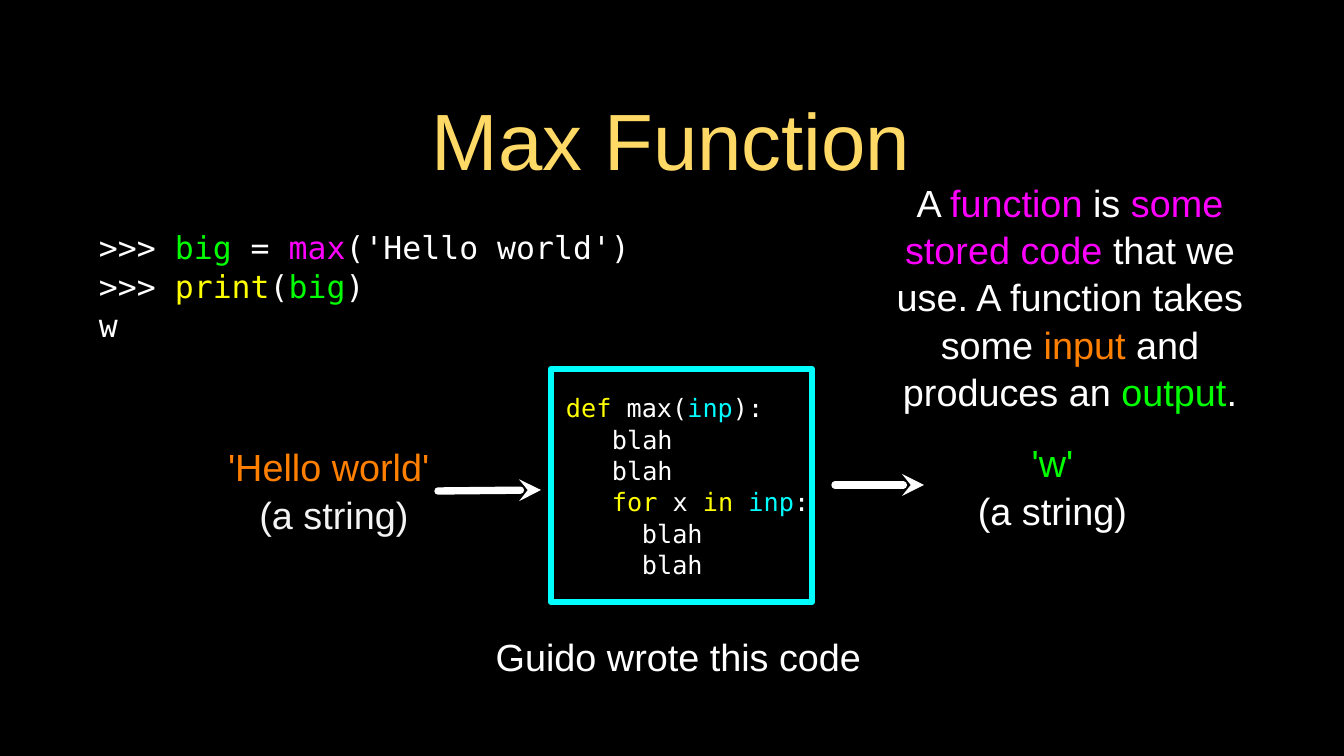
from lxml import etree
from pptx import Presentation
from pptx.dml.color import RGBColor
from pptx.enum.shapes import MSO_CONNECTOR, MSO_SHAPE
from pptx.enum.text import MSO_ANCHOR, PP_ALIGN
from pptx.oxml.ns import qn
from pptx.util import Emu, Pt

EMU_PER_PX = 914400 / 75.6
SANS, MONO = "Arial", "DejaVu Sans Mono"
CODE_SIZE = 24
CODE_CHAR_PX = 15.17
COLORS = {
    "black": "000000", "white": "FFFFFF", "pale": "F3F3F3", "gold": "FFD966",
    "green": "00FF00", "magenta": "FF00FF", "yellow": "FFFF00",
    "orange": "FF7F00", "cyan": "00FFFF", "aqua": "00FDFF",
}


def px(value):
    return Emu(round(value * EMU_PER_PX))


def rgb(name):
    return RGBColor.from_string(COLORS[name])


def write(shape, lines, size, font=SANS, align=PP_ALIGN.CENTER, inset=0, spacing=1.04):
    """Fill a shape; each line is (indent in characters, [(text, colour), ...])."""
    frame = shape.text_frame
    frame.word_wrap = True
    frame.vertical_anchor = MSO_ANCHOR.MIDDLE
    frame.margin_left = frame.margin_right = px(inset)
    frame.margin_top = frame.margin_bottom = px(inset)
    for i, (indent, runs) in enumerate(lines):
        paragraph = frame.add_paragraph() if i else frame.paragraphs[0]
        paragraph.alignment = align
        paragraph.line_spacing = spacing
        if indent:
            properties = paragraph._p.get_or_add_pPr()
            properties.set("marL", str(px(round(indent * CODE_CHAR_PX))))
            properties.set("indent", "0")
        for text, color in runs:
            run = paragraph.add_run()
            run.text = text
            run.font.name = font
            run.font.size = Pt(size)
            run.font.color.rgb = rgb(color)


def add_text(slide, box, lines, size=36, **style):
    write(slide.shapes.add_textbox(*map(px, box)), lines, size, **style)


def add_code_box(slide, box, lines):
    shape = slide.shapes.add_shape(MSO_SHAPE.RECTANGLE, *map(px, box))
    shape.shadow.inherit = False
    shape.fill.background()
    shape.line.color.rgb = rgb("cyan")
    shape.line.width = Pt(6)
    etree.SubElement(shape.line._get_or_add_ln(), qn("a:round"))
    write(shape, lines, CODE_SIZE, font=MONO, align=PP_ALIGN.LEFT)


def add_arrow(slide, start, end):
    arrow = slide.shapes.add_connector(
        MSO_CONNECTOR.STRAIGHT, *map(px, start + end))
    arrow.line.color.rgb = rgb("white")
    arrow.line.width = Pt(7)
    line = arrow.line._get_or_add_ln()
    line.set("cap", "rnd")
    etree.SubElement(line, qn("a:round"))
    etree.SubElement(line, qn("a:tailEnd"), type="stealth")
    etree.SubElement(arrow._element.spPr, qn("a:effectLst"))


def main():
    prs = Presentation()
    prs.slide_width, prs.slide_height = px(1344), px(756)
    slide = prs.slides.add_slide(prs.slide_layouts[5])
    slide.background.fill.solid()
    slide.background.fill.fore_color.rgb = rgb("black")

    # Title
    title = slide.shapes.title
    title.left, title.top, title.width, title.height = map(px, (95, 67, 1152, 144))
    write(title, [(0, [("Max Function", "gold")])], 76, inset=3, spacing=1)

    # Interpreter session
    add_text(slide, (99, 216, 590, 138), [
        (0, [(">>> ", "white"), ("big", "green"), (" = ", "white"),
             ("max", "magenta"), ("('Hello world')", "white")]),
        (0, [(">>> ", "white"), ("print", "yellow"), ("(", "white"),
             ("big", "green"), (")", "white")]),
        (0, [("w", "white")]),
    ], size=30, font=MONO, align=PP_ALIGN.LEFT)

    # Function body
    blah = [("blah", "white")]
    add_code_box(slide, (551, 369, 261, 233), [
        (1, [("def", "yellow"), (" max(", "white"), ("inp", "aqua"), ("):", "white")]),
        (4, blah),
        (4, blah),
        (4, [("for", "yellow"), (" x ", "white"), ("in ", "yellow"),
             ("inp", "aqua"), (":", "white")]),
        (6, blah),
        (6, blah),
    ])

    # Input and output
    add_arrow(slide, (438, 491), (541, 490))
    add_text(slide, (216, 442, 236, 95), [
        (0, [("'Hello world' ", "orange")]), (0, [("(a string)", "pale")])])
    add_text(slide, (962, 438, 181, 95), [
        (0, [("'w'", "green")]), (0, [("(a string)", "white")])])
    add_arrow(slide, (835, 485), (924, 485))

    # Definition and caption
    add_text(slide, (866, 187, 408, 218), [(0, [
        ("A ", "white"), ("function", "magenta"), (" is ", "white"),
        ("some stored code", "magenta"),
        (" that we use. A function takes some ", "white"), ("input", "orange"),
        (" and produces an ", "white"), ("output", "green"), (".", "white")])])
    add_text(slide, (492, 630, 373, 51), [(0, [("Guido wrote this code", "white")])])

    prs.save("out.pptx")


main()
